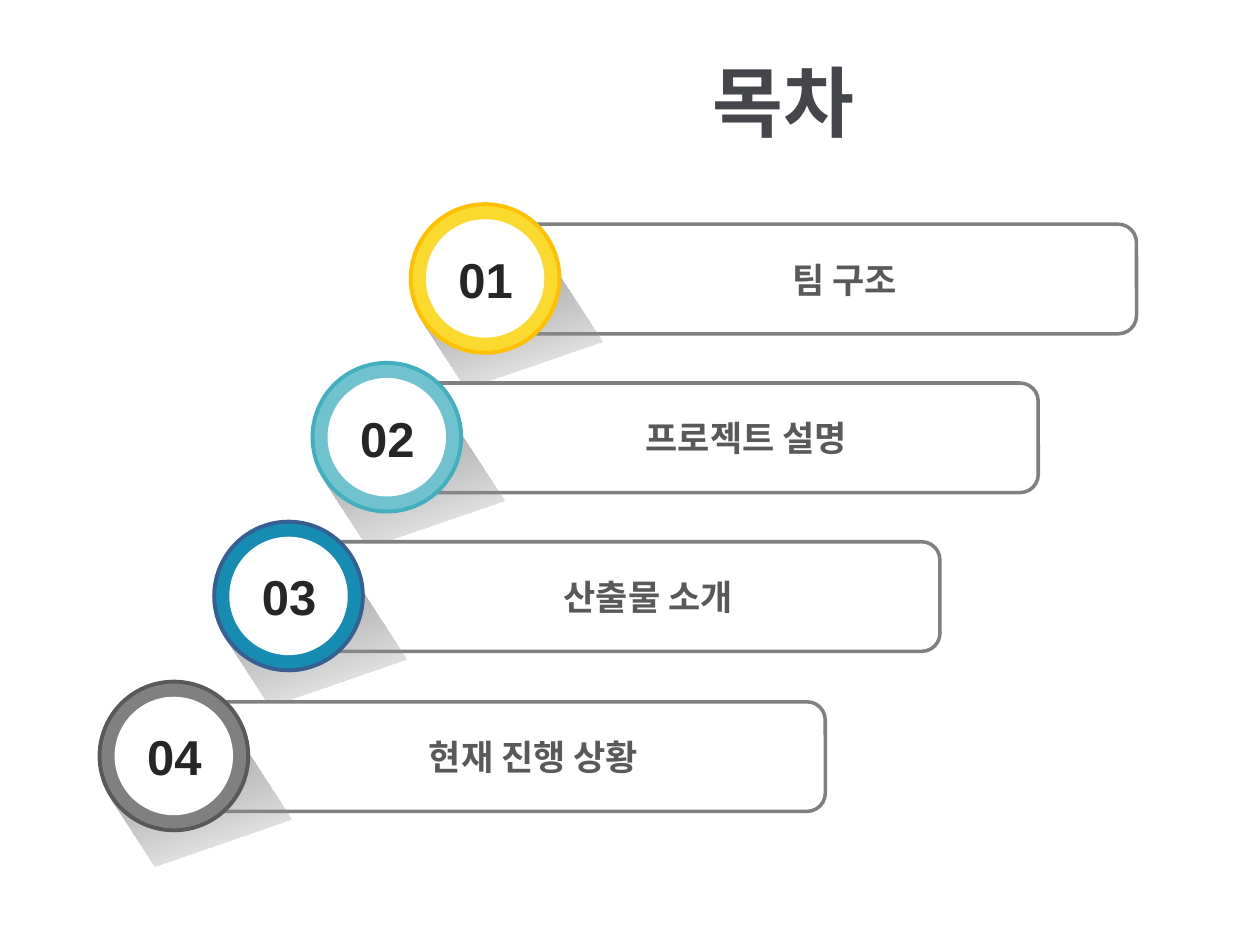
from lxml.etree import SubElement
from pptx import Presentation
from pptx.dml.color import RGBColor
from pptx.enum.shapes import MSO_SHAPE
from pptx.enum.text import MSO_ANCHOR, MSO_AUTO_SIZE, PP_ALIGN
from pptx.oxml.ns import qn
from pptx.util import Inches, Pt

KOREAN_FONT = "Noto Sans CJK KR"
AGENDA = [
    ("팀 구조", 3.9, 1.78, "FADA2F", "FFC000"),
    ("프로젝트 설명", 3.12, 3.04, "70C3CE", "42AFBE"),
    ("산출물 소개", 2.34, 4.3, "168CB3", "376092"),
    ("현재 진행 상황", 1.43, 5.57, "808080", "595959"),
]


def color(value):
    return RGBColor.from_string(value)


def place(shape, left, top, width, height):
    shape.left, shape.top = Inches(left), Inches(top)
    shape.width, shape.height = Inches(width), Inches(height)


def write_text(shape, text, *, size, fill, font=KOREAN_FONT, align=PP_ALIGN.CENTER,
               anchor=MSO_ANCHOR.MIDDLE, wrap=True, spacing=None):
    frame = shape.text_frame
    frame.word_wrap = wrap
    frame.auto_size = MSO_AUTO_SIZE.NONE if wrap else MSO_AUTO_SIZE.SHAPE_TO_FIT_TEXT
    frame.vertical_anchor = anchor
    paragraph = frame.paragraphs[0]
    paragraph.alignment = align
    paragraph.line_spacing = spacing
    run = paragraph.add_run()
    run.text = text
    run.font.size = Pt(size)
    run.font.bold = True
    run.font.name = font
    run.font.color.rgb = color(fill)
    SubElement(run.font._element, qn("a:ea"), typeface=font)


def add_text(shapes, text, box, **text_format):
    text_box = shapes.add_textbox(*map(Inches, box))
    write_text(text_box, text, **text_format)


def add_shape(shapes, kind, box, fill=None, line=None, line_width=2):
    shape = shapes.add_shape(kind, *map(Inches, box))
    shape.shadow.inherit = False
    if fill:
        shape.fill.solid()
        shape.fill.fore_color.rgb = color(fill)
    if line:
        shape.line.color.rgb = color(line)
        shape.line.width = Pt(line_width)
    else:
        shape.line.fill.background()
    return shape


def add_cast_shadow(shapes, box):
    shadow = add_shape(shapes, MSO_SHAPE.PARALLELOGRAM, box)
    shadow.rotation = 341.1
    shadow.element.spPr.find(qn("a:xfrm")).set("flipH", "1")
    shadow.fill.gradient()
    shadow.fill.gradient_angle = 270
    for stop, value in zip(shadow.fill.gradient_stops, ("A6A6A6", "808080")):
        stop.color.rgb = color(value)
    last_color = shadow.element.spPr.findall(".//" + qn("a:srgbClr"))[-1]
    SubElement(last_color, qn("a:alpha"), val="0")


def add_badge(slide, left, top, fill, line):
    shapes = slide.shapes.add_group_shape().shapes
    add_cast_shadow(shapes, (left + 0.16, top + 0.71, 1.3, 0.61))
    add_shape(shapes, MSO_SHAPE.OVAL, (left, top, 1.18, 1.18), fill, line, 2.25)
    add_shape(shapes, MSO_SHAPE.OVAL, (left + 0.12, top + 0.12, 0.94, 0.94), "FFFFFF")


def add_agenda_item(slide, number, label, left, top, fill, line):
    add_shape(slide.shapes, MSO_SHAPE.ROUNDED_RECTANGLE, (left, top, 5.12, 0.87),
              "FFFFFF", "808080")
    add_text(slide.shapes, label, (left + 0.63, top + 0.15, 4.35, 0.57),
             size=20, fill="595959")
    add_badge(slide, left - 0.64, top - 0.16, fill, line)
    add_text(slide.shapes, f"{number:02}", (left - 0.36, top + 0.15, 0.64, 0.57),
             size=28, fill="262626", font="Arial", align=PP_ALIGN.LEFT,
             anchor=MSO_ANCHOR.TOP, wrap=False)


def main():
    presentation = Presentation()
    presentation.slide_width, presentation.slide_height = Inches(10), Inches(7.5)
    slide = presentation.slides.add_slide(presentation.slide_layouts[5])
    title = slide.shapes.title
    place(title, 4.45, 0.4, 3.54, 0.94)
    write_text(title, "목차", size=44, fill="44464B", spacing=0.8)
    for number, item in enumerate(AGENDA, start=1):
        add_agenda_item(slide, number, *item)
    presentation.save("out.pptx")


if __name__ == "__main__":
    main()
